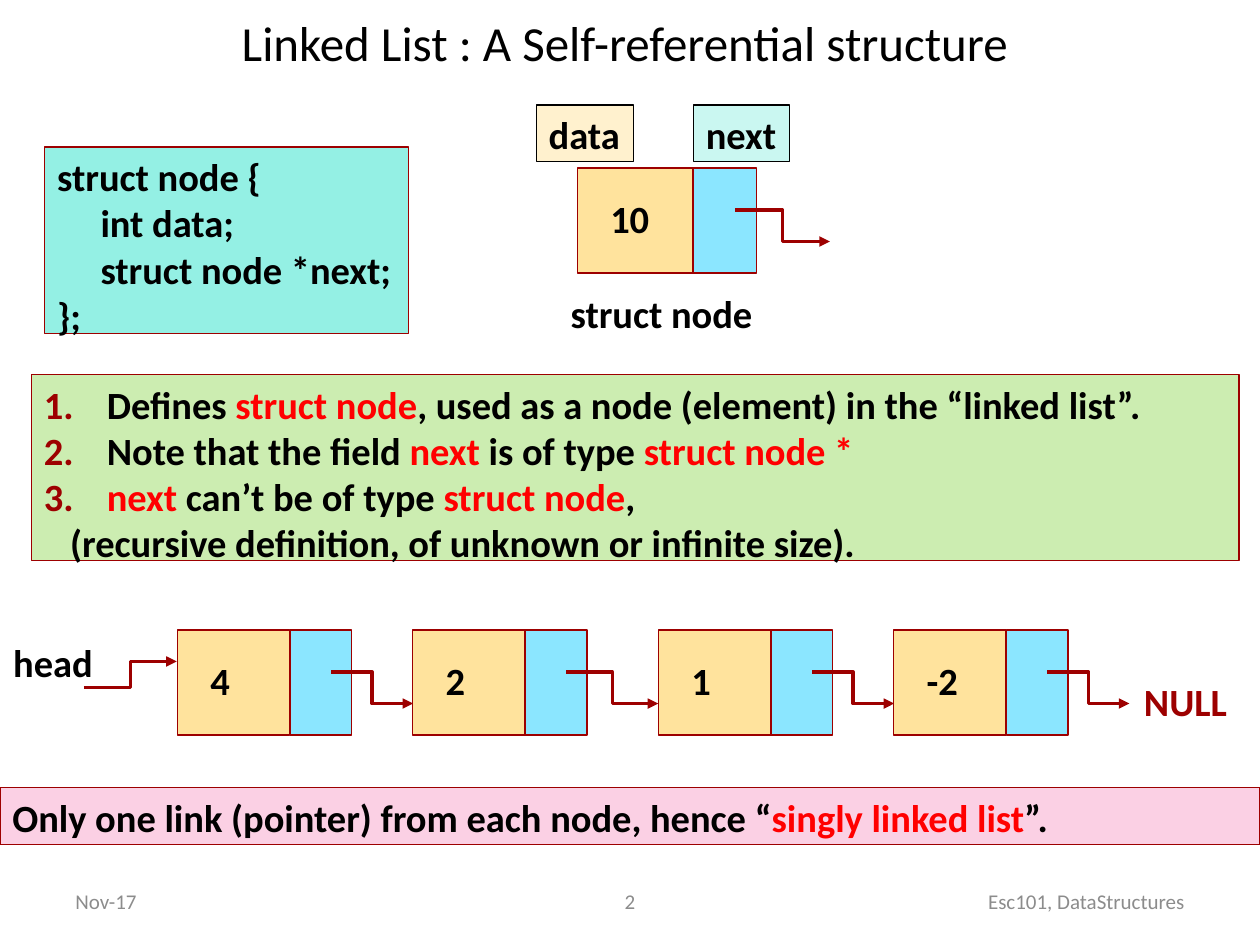
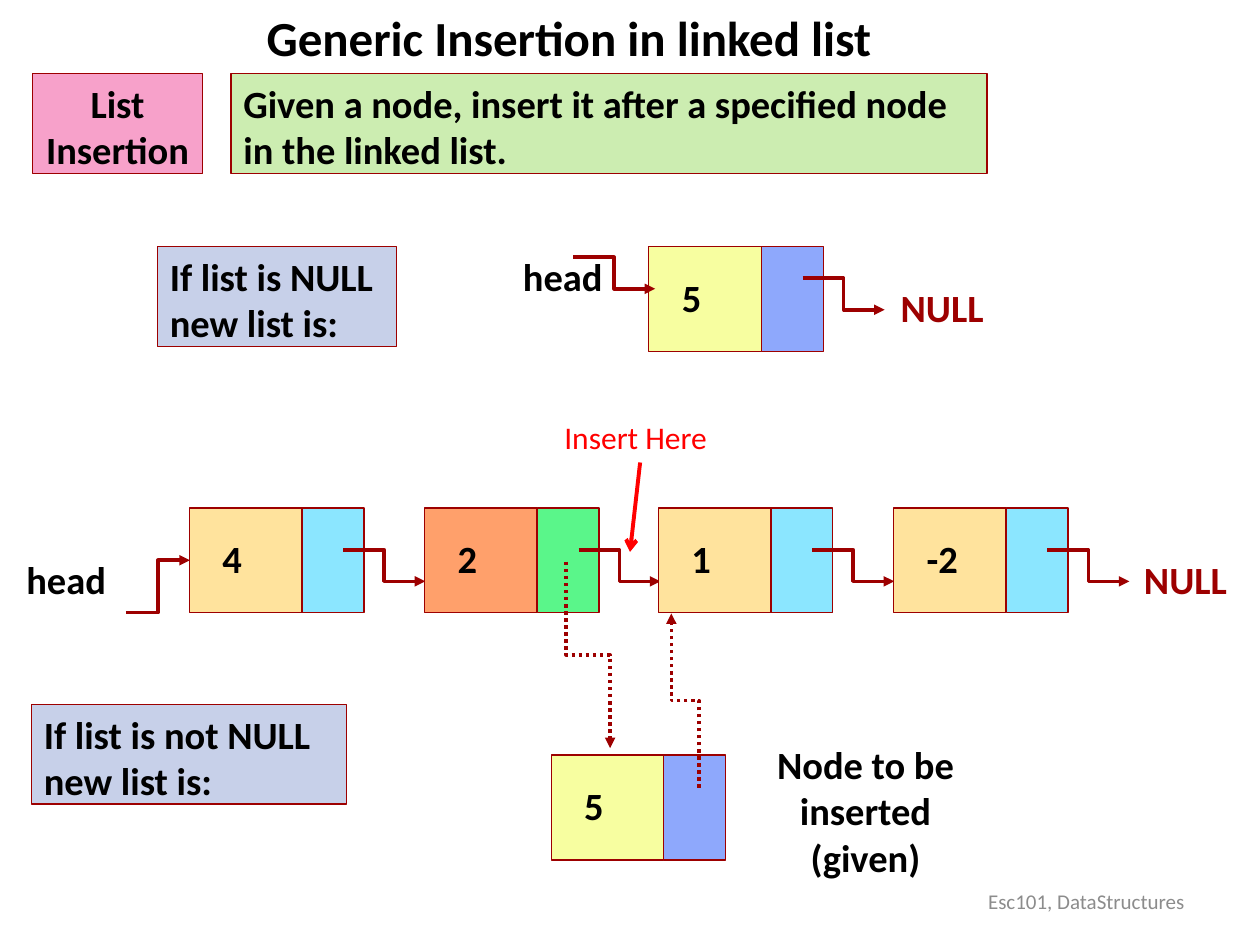
from lxml.etree import SubElement
from pptx import Presentation
from pptx.dml.color import RGBColor
from pptx.enum.dml import MSO_LINE
from pptx.enum.shapes import MSO_CONNECTOR, MSO_SHAPE
from pptx.enum.text import MSO_ANCHOR, PP_ALIGN
from pptx.oxml.ns import qn
from pptx.util import Pt

BLACK = RGBColor(0x00, 0x00, 0x00)
RED = RGBColor(0xFF, 0x00, 0x00)
DARK_RED = RGBColor(0x9D, 0x00, 0x00)
GREY = RGBColor(0x8C, 0x8C, 0x8C)
GREEN = RGBColor(0xCC, 0xED, 0xB1)
PINK = RGBColor(0xF7, 0xA1, 0xCA)
PALE_PINK = RGBColor(0xFB, 0xD0, 0xE4)
TURQUOISE = RGBColor(0x94, 0xF0, 0xE4)
PALE_TURQUOISE = RGBColor(0xCA, 0xF7, 0xF1)
CREAM = RGBColor(0xFF, 0xF1, 0xCE)
BLUE_GREY = RGBColor(0xC7, 0xD0, 0xE9)

# Colours of the data and next fields of a node
PLAIN_NODE = RGBColor(0xFF, 0xE3, 0x9D), RGBColor(0x8B, 0xE6, 0xFF)
CHANGED_NODE = RGBColor(0xFF, 0xA0, 0x6B), RGBColor(0x5A, 0xF6, 0x8A)
NEW_NODE = RGBColor(0xF7, 0xFE, 0xA0), RGBColor(0x8E, 0xA8, 0xFC)

BODY_FONT = {"name": "Calibri", "size": Pt(22), "bold": True}
FOOTER = {"size": Pt(12), "bold": False, "colour": GREY, "anchor": MSO_ANCHOR.MIDDLE}
NODE_HEIGHT = 60
LINE_HEIGHT = 32.4


def add_box(slide, place, lines=(), fill=None, outline=DARK_RED, colour=BLACK,
            align=PP_ALIGN.LEFT, anchor=MSO_ANCHOR.TOP, wrap=False, **font_format):
    """Add a text box, or a rectangle if fill is given; text between bars is red."""
    place = [Pt(length) for length in place]
    if fill is None:
        shape = slide.shapes.add_textbox(*place)
    else:
        shape = slide.shapes.add_shape(MSO_SHAPE.RECTANGLE, *place)
        shape.shadow.inherit = False
        shape.fill.solid()
        shape.fill.fore_color.rgb = fill
        shape.line.color.rgb = outline
        shape.line.width = Pt(0.75)
    frame = shape.text_frame
    frame.word_wrap = wrap
    frame.vertical_anchor = anchor
    for index, line in enumerate(lines):
        paragraph = frame.add_paragraph() if index else frame.paragraphs[0]
        paragraph.alignment = align
        for part, text in enumerate(line.split("|")):
            if not text:
                continue
            run = paragraph.add_run()
            run.text = text
            for name, value in (BODY_FONT | font_format).items():
                setattr(run.font, name, value)
            run.font.color.rgb = RED if part % 2 else colour
    return shape


def add_arrow(slide, start, end, kind=MSO_CONNECTOR.ELBOW, upright=False,
              colour=DARK_RED, width=2, head="triangle"):
    """Add an arrow; an upright elbow is dotted and leaves its start vertically."""
    (x1, y1), (x2, y2) = start, end
    if upright:
        middle_x, middle_y = (x1 + x2) / 2, (y1 + y2) / 2
        run, drop = (y1 - y2) / 2, (x2 - x1) / 2
        x1, x2 = middle_x - run, middle_x + run
        y1, y2 = middle_y - drop, middle_y + drop
    connector = slide.shapes.add_connector(kind, Pt(x1), Pt(y1), Pt(x2), Pt(y2))
    connector.line.color.rgb = colour
    connector.line.width = Pt(width)
    properties = connector.element.spPr
    if upright:
        connector.line.dash_style = MSO_LINE.ROUND_DOT
        properties.find(qn("a:xfrm")).set("rot", str(270 * 60000))
    SubElement(properties.find(qn("a:ln")), qn("a:tailEnd"), type=head)
    SubElement(properties, qn("a:effectLst"))


presentation = Presentation()
presentation.slide_width = Pt(720)
presentation.slide_height = Pt(540)
blank_layout = presentation.slide_layouts[6]
structure = presentation.slides.add_slide(blank_layout)
insertion = presentation.slides.add_slide(blank_layout)

# Titles and footers
add_box(structure, (48, 0, 618, 48), ["Linked List : A Self-referential structure"],
        align=PP_ALIGN.CENTER, anchor=MSO_ANCHOR.MIDDLE, wrap=True, size=Pt(28), bold=False)
add_box(insertion, (145.3, 1, 371, 39), ["Generic Insertion in linked list"], size=Pt(28))
for slide in (structure, insertion):
    add_box(slide, (516, 500.5, 168, 28.8), ["Esc101, DataStructures"],
            align=PP_ALIGN.RIGHT, wrap=True, **FOOTER)
add_box(structure, (36, 500.5, 168, 28.8), ["Nov-17"], wrap=True, **FOOTER)
add_box(structure, (246, 500.5, 228, 28.8), ["2"],
        align=PP_ALIGN.CENTER, wrap=True, **FOOTER)

# Panels
add_box(structure, (25.6, 84, 207.8, 106.5),
        ["struct node {", "     int data;", "     struct node *next;", "};"], TURQUOISE)
notes = add_box(structure, (18, 214, 690, 106.5), [
    "Defines |struct node|, used as a node (element) in the “linked list”.",
    "Note that the field |next| is of type |struct node *",
    "|next |can’t be of type |struct node|,",
    "(recursive definition, of unknown or infinite size).",
], GREEN, wrap=True)
*numbered, remark = notes.text_frame.paragraphs
for paragraph in numbered:
    settings = paragraph._p.get_or_add_pPr()
    settings.set("marL", str(Pt(36)))
    settings.set("indent", str(Pt(-36)))
    bullet_colour = SubElement(settings, qn("a:buClr"))
    SubElement(bullet_colour, qn("a:srgbClr"), val=str(DARK_RED))
    SubElement(settings, qn("a:buFont"), typeface="+mj-lt")
    SubElement(settings, qn("a:buAutoNum"), type="arabicPeriod")
remark._p.get_or_add_pPr().set("marL", str(Pt(15)))
add_box(structure, (0, 450, 720, LINE_HEIGHT),
        ["Only one link (pointer) from each node, hence “|singly linked list|”."],
        PALE_PINK, wrap=True)

add_box(insertion, (18.5, 42, 97.3, 57), ["List", "Insertion"], PINK, align=PP_ALIGN.CENTER)
add_box(insertion, (132, 42, 432, 57),
        ["Given a node, insert it after a specified node in the linked list."],
        GREEN, wrap=True)
add_box(insertion, (90, 141, 136.8, 57), ["If list is NULL", "new list is:"], BLUE_GREY)
add_box(insertion, (18, 402.5, 180, 57), ["If list is not NULL", "new list is:"], BLUE_GREY)

# Nodes: slide, left, top, value, colours, width of data field,
# length of next arrow and its distance from the top of the node
nodes = [
    (structure, 330, 96, "10", PLAIN_NODE, 66, 54, 24),
    (structure, 101.4, 360, "4", PLAIN_NODE, 64.3, 46.8, 24),
    (structure, 235.8, 360, "2", PLAIN_NODE, 64.3, 52.5, 24),
    (structure, 376.3, 360, "1", PLAIN_NODE, 64.3, 46.8, 24),
    (structure, 510.7, 360, "-2", PLAIN_NODE, 64.3, 46.8, 24),
    (insertion, 370.8, 141, "5", NEW_NODE, 64.3, 46.8, 18),
    (insertion, 108.3, 290.2, "4", PLAIN_NODE, 64.3, 46.8, 24),
    (insertion, 242.7, 290.2, "2", CHANGED_NODE, 64.3, 46.8, 24),
    (insertion, 376.3, 290.2, "1", PLAIN_NODE, 64.3, 46.8, 24),
    (insertion, 510.7, 290.2, "-2", PLAIN_NODE, 64.3, 46.8, 24),
    (insertion, 315, 431.5, "5", NEW_NODE, 64.3, None, None),
]
for slide, left, top, value, colours, data_width, arrow_length, arrow_drop in nodes:
    data_fill, next_fill = colours
    next_left = left + data_width
    next_width = data_width * 0.55
    add_box(slide, (left, top, data_width, NODE_HEIGHT), fill=data_fill)
    add_box(slide, (next_left, top, next_width, NODE_HEIGHT), fill=next_fill)
    add_box(slide, (left + 11.7, top + 12, 15 + 12 * len(value), LINE_HEIGHT), [value])
    if arrow_length:
        start = next_left + next_width * 2 / 3
        arrow_top = top + arrow_drop
        add_arrow(slide, (start, arrow_top), (start + arrow_length, arrow_top + 18))

# Labels of the nodes
add_box(structure, (306.5, 60, 55.4, LINE_HEIGHT), ["data"], CREAM, BLACK)
add_box(structure, (396.3, 60, 55, LINE_HEIGHT), ["next"], PALE_TURQUOISE, BLACK)
add_box(structure, (319, 162, 124.6, LINE_HEIGHT), ["struct node"])
add_box(insertion, (422.6, 420, 144, 82), ["Node to be inserted (given)"],
        align=PP_ALIGN.CENTER, wrap=True)
for slide, left, top in [(structure, 646.6, 384), (insertion, 507.6, 159),
                         (insertion, 646.6, 314)]:
    add_box(slide, (left, top, 62, LINE_HEIGHT), ["NULL"], colour=DARK_RED)

# Head labels with their arrows
heads = [
    (structure, (0.5, 361.5), (48, 393), (101, 378)),
    (insertion, (291.8, 141), (327.6, 147), (374.4, 165)),
    (insertion, (8, 314), (72, 350.2), (108.5, 320.2)),
]
for slide, label_corner, start, end in heads:
    add_box(slide, (*label_corner, 60.5, LINE_HEIGHT), ["head"])
    add_arrow(slide, start, end)

# Place of insertion and the new links
add_box(insertion, (315.4, 235.5, 104.4, 29), ["Insert Here"], colour=RED,
        size=Pt(18), bold=False)
add_arrow(insertion, (365.8, 264.3), (360, 315.4), kind=MSO_CONNECTOR.STRAIGHT,
          colour=RED, width=2.25, head="arrow")
add_arrow(insertion, (323.5, 321), (348.6, 427.5), upright=True)
add_arrow(insertion, (399.4, 450.2), (383.6, 350.6), upright=True)

presentation.save("out.pptx")
